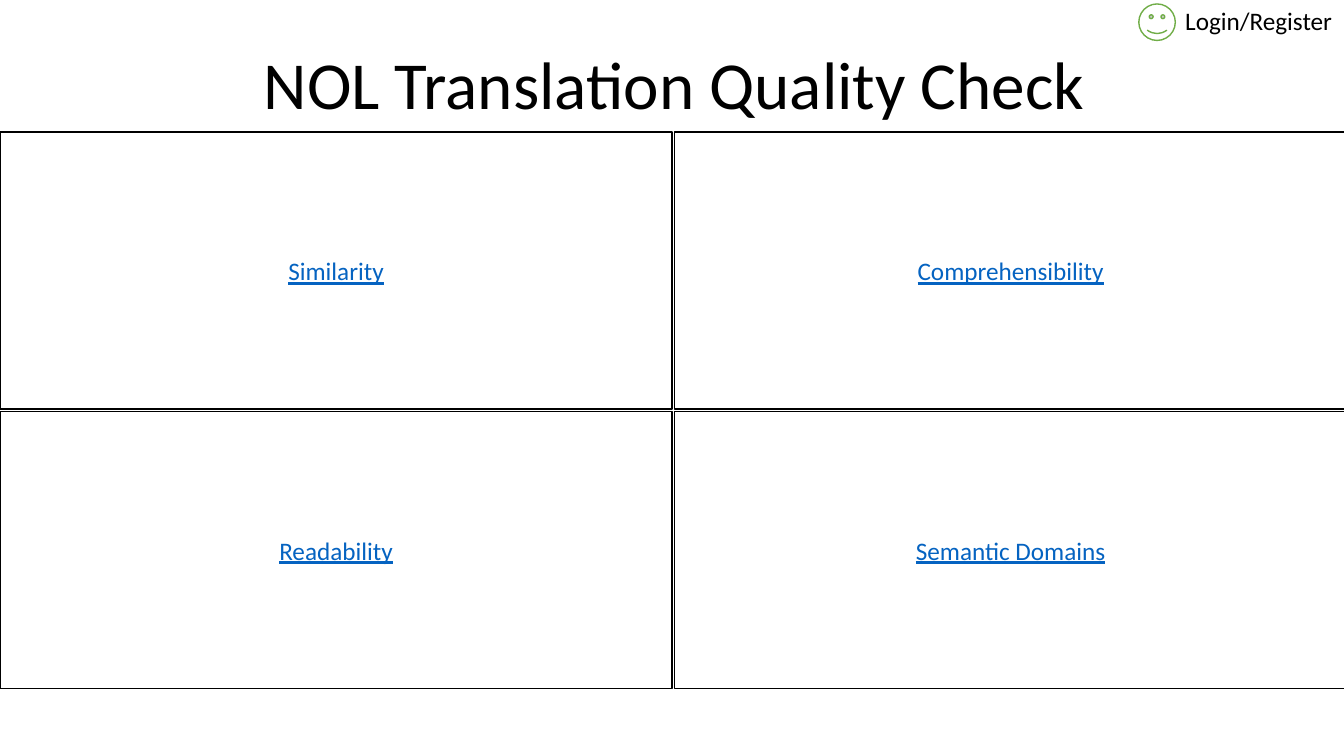
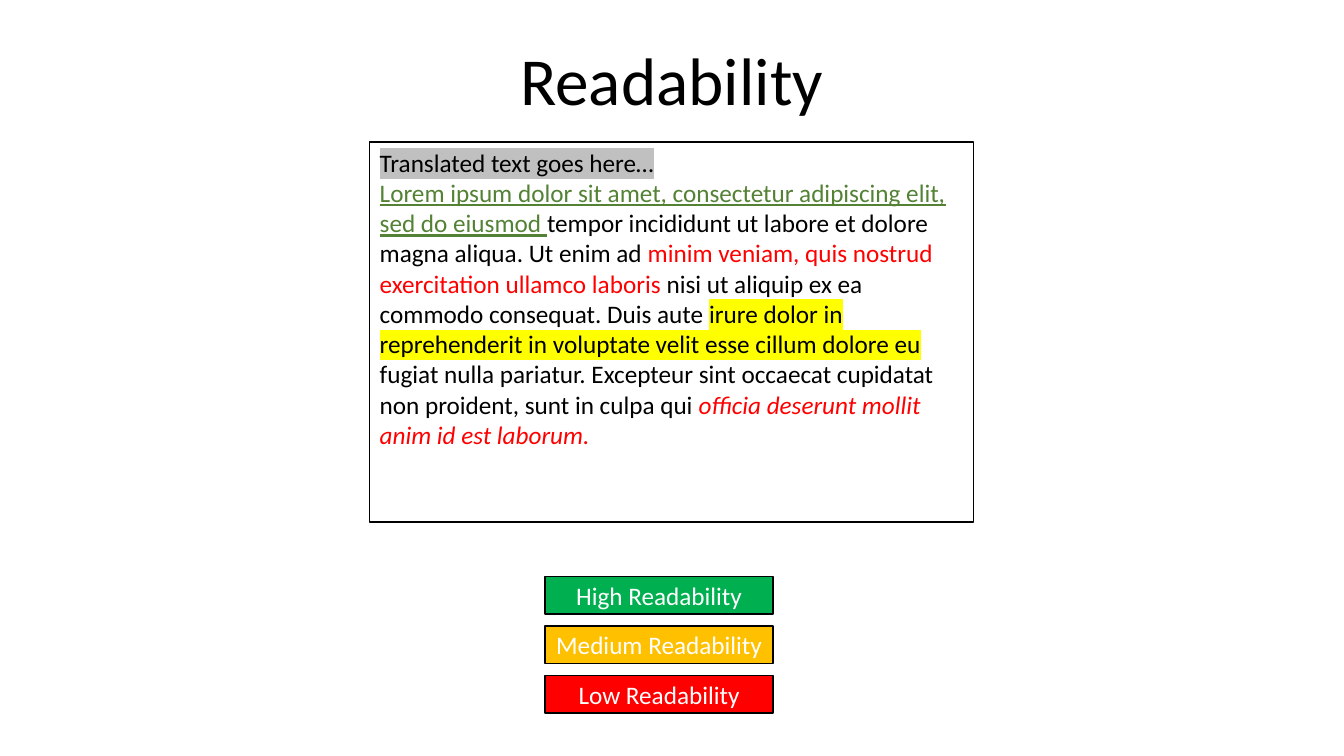
from lxml.etree import SubElement
from pptx import Presentation
from pptx.dml.color import RGBColor
from pptx.enum.shapes import MSO_SHAPE as Shape
from pptx.enum.text import MSO_ANCHOR as Anchor, MSO_AUTO_SIZE as AutoSize, PP_ALIGN as Align
from pptx.oxml.ns import qn
from pptx.util import Cm, Pt

FONT = "Calibri"
BLACK = RGBColor(0x00, 0x00, 0x00)
WHITE = RGBColor(0xFF, 0xFF, 0xFF)
LINK_BLUE = RGBColor(0x05, 0x63, 0xC1)
SMILEY_GREEN = RGBColor(0x70, 0xAD, 0x47)
TEXT_GREEN = RGBColor(0x54, 0x82, 0x35)
GREEN = RGBColor(0x00, 0xB0, 0x50)
AMBER = RGBColor(0xFF, 0xC0, 0x00)
RED = RGBColor(0xFF, 0x00, 0x00)
GREY = RGBColor(0xC0, 0xC0, 0xC0)
YELLOW = RGBColor(0xFF, 0xFF, 0x00)

LINKS = [["Similarity", "Comprehensibility"], ["Readability", "Semantic Domains"]]
LEVELS = [("High Readability", GREEN), ("Medium Readability", AMBER), ("Low Readability", RED)]
PASSAGE = [
    [("Translated text goes here…", {"highlight": GREY})],
    [
        ("Lorem ipsum dolor sit amet, consectetur adipiscing elit, sed do eiusmod ",
         {"color": TEXT_GREEN, "underline": True}),
        ("tempor incididunt ut labore et dolore magna aliqua. Ut enim ad ", {}),
        ("minim veniam, quis nostrud exercitation ullamco laboris ", {"color": RED}),
        ("nisi ut aliquip ex ea commodo consequat. Duis aute ", {}),
        ("irure dolor in reprehenderit in voluptate velit esse cillum dolore eu ",
         {"highlight": YELLOW}),
        ("fugiat nulla pariatur. Excepteur sint occaecat cupidatat non proident, "
         "sunt in culpa qui ", {}),
        ("officia deserunt mollit anim id est laborum.", {"color": RED, "italic": True}),
    ],
]


def style_paragraph(paragraph, size=18, color=BLACK, align=Align.CENTER, underline=None):
    """Set the font and alignment of a whole paragraph."""
    paragraph.alignment = align
    font = paragraph.font
    font.name, font.size, font.underline = FONT, Pt(size), underline
    font.color.rgb = color


def add_label(slide, box, text, wrap=True, **style):
    """Add a text box that grows with its text."""
    frame = slide.shapes.add_textbox(*map(Cm, box)).text_frame
    frame.word_wrap = wrap
    frame.auto_size = AutoSize.SHAPE_TO_FIT_TEXT
    frame.text = text
    style_paragraph(frame.paragraphs[0], **style)


def add_title(slide, box, text):
    """Add the large centred slide title."""
    add_label(slide, box, text, size=48)


def add_panel(slide, box, fill=WHITE, line=BLACK, outline=Shape.RECTANGLE):
    """Add a flat shape with a thin outline."""
    panel = slide.shapes.add_shape(outline, *map(Cm, box))
    panel.shadow.inherit = False
    panel.fill.solid()
    panel.fill.fore_color.rgb = fill
    panel.line.color.rgb = line
    panel.line.width = Pt(1)
    return panel


def add_button(slide, box, text, fill=WHITE, **style):
    """Add a rectangle with one centred line of text."""
    frame = add_panel(slide, box, fill).text_frame
    frame.vertical_anchor = Anchor.MIDDLE
    frame.text = text
    style_paragraph(frame.paragraphs[0], **style)


def add_login(slide, box):
    """Add the smiley and the login label beside it."""
    left, top, width, height = box
    face = 0.92
    add_label(slide, (left + face, top, width - face, height), "Login/Register",
              wrap=False, align=Align.LEFT)
    add_panel(slide, (left, top + 0.1, face, face), line=SMILEY_GREEN,
              outline=Shape.SMILEY_FACE)


def add_link_grid(slide, box, gap=0.06):
    """Fill the box with a grid of link tiles."""
    left, top, width, height = box
    tile_width = (width - gap) / 2
    tile_height = (height - gap) / 2
    for row, links in enumerate(LINKS):
        for column, link in enumerate(links):
            tile = (left + column * (tile_width + gap), top + row * (tile_height + gap),
                    tile_width, tile_height)
            add_button(slide, tile, link, color=LINK_BLUE, underline=True)


def add_passage(slide, box):
    """Add the framed passage with its marked phrases."""
    frame = add_panel(slide, box).text_frame
    frame.vertical_anchor = Anchor.TOP
    for index, phrases in enumerate(PASSAGE):
        paragraph = frame.add_paragraph() if index else frame.paragraphs[0]
        style_paragraph(paragraph, align=Align.LEFT)
        for text, marks in phrases:
            phrase = paragraph.add_run()
            phrase.text = text
            phrase.font.underline = marks.get("underline")
            phrase.font.italic = marks.get("italic")
            phrase.font.color.rgb = marks.get("color", BLACK)
            if "highlight" in marks:
                properties = phrase.font.color.rgb and phrase._r.get_or_add_rPr()
                highlight = SubElement(properties, qn("a:highlight"))
                SubElement(highlight, qn("a:srgbClr"), val=str(marks["highlight"]))


def add_legend(slide, box, gap=0.31):
    """Stack the readability levels evenly in the box."""
    left, top, width, height = box
    level_height = (height - gap * (len(LEVELS) - 1)) / len(LEVELS)
    for index, (level, fill) in enumerate(LEVELS):
        add_button(slide, (left, top + index * (level_height + gap), width, level_height),
                   level, fill, color=WHITE)


def build_home(slide):
    """Build the start page with its four links."""
    add_login(slide, (28.7, 0, 5.18, 1.03))
    add_title(slide, (2.77, 0.94, 28.45, 2.31), "NOL Translation Quality Check")
    add_link_grid(slide, (0, 3.33, 33.94, 14.02))


def build_readability(slide):
    """Build the readability page with passage and legend."""
    add_title(slide, (10.01, 0.84, 13.84, 2.31), "Readability")
    add_passage(slide, (9.32, 3.58, 15.21, 9.58))
    add_legend(slide, (13.74, 14.53, 5.74, 3.44))


def main():
    """Build and save the presentation."""
    deck = Presentation()
    deck.slide_width, deck.slide_height = Cm(33.87), Cm(19.05)
    for build in (build_home, build_readability):
        build(deck.slides.add_slide(deck.slide_layouts[6]))
    deck.save("out.pptx")


main()
